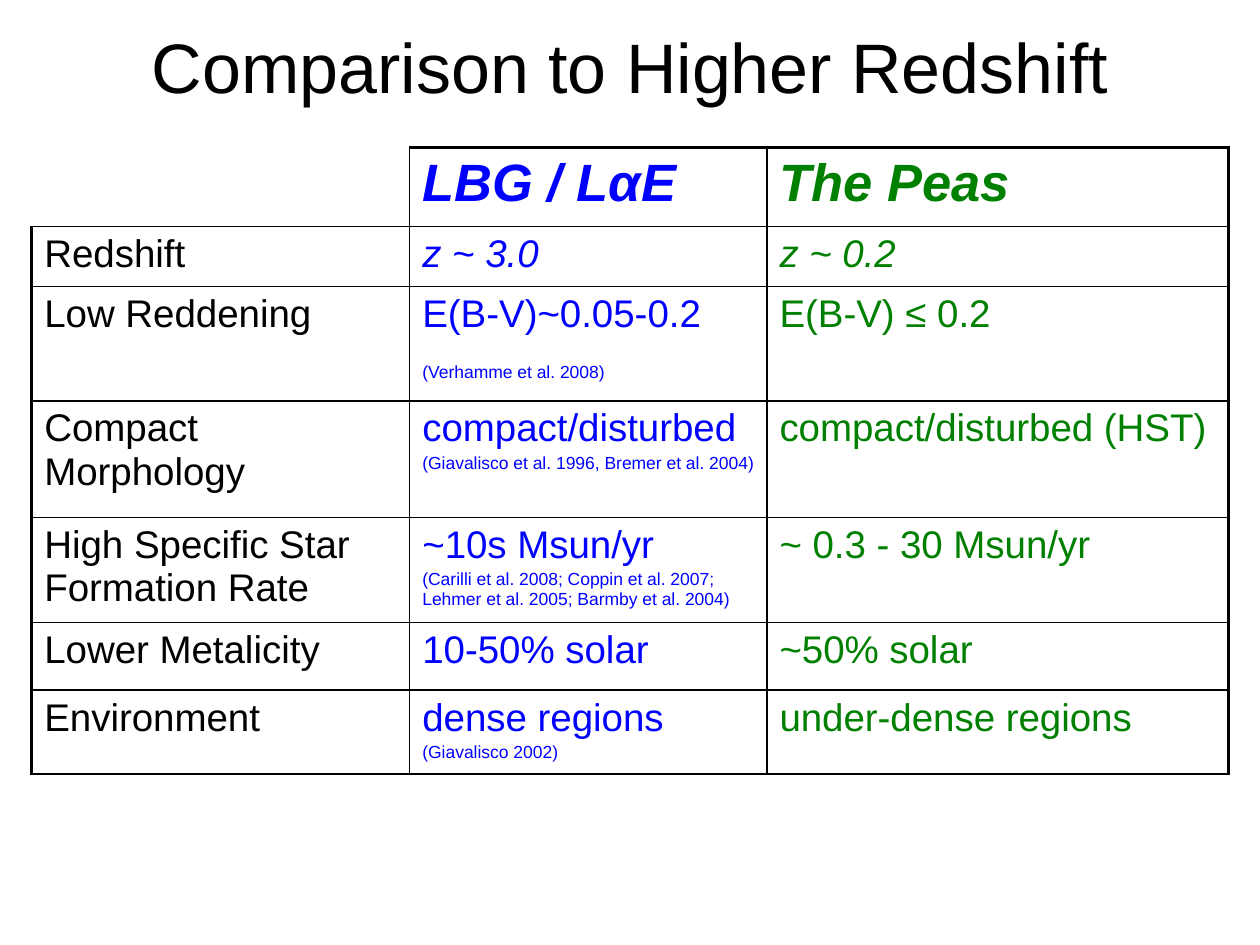
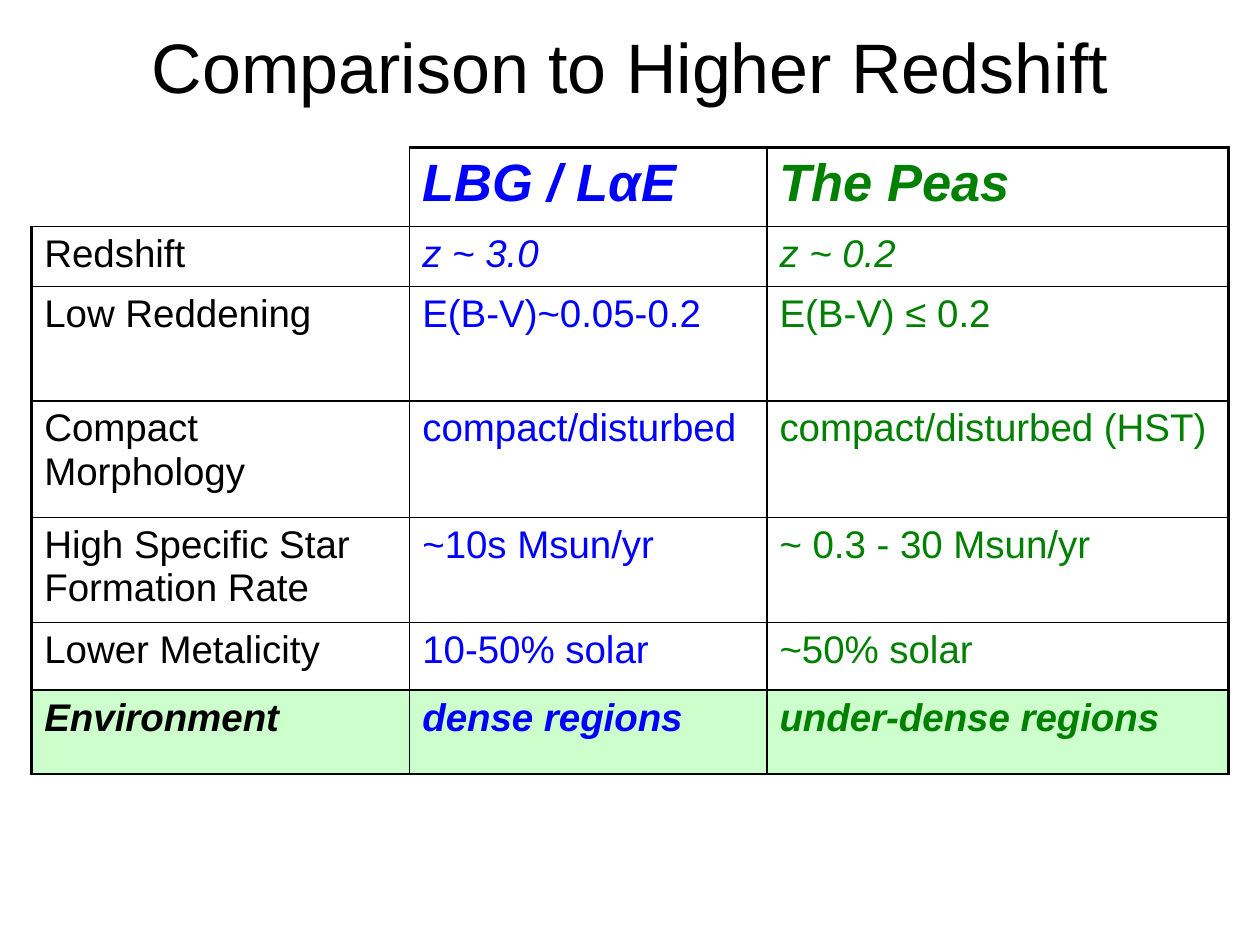
import pptx
import pptx.dml.color
import pptx.enum.text
import pptx.oxml
import pptx.oxml.ns
import pptx.util
from pptx.util import Cm, Pt

# Content
TITLE = "Comparison to Higher Redshift"
ROWS = [
    ("", "LBG / LαE", "The Peas"),
    ("Redshift", "z ~ 3.0", "z ~ 0.2"),
    ("Low Reddening", "E(B-V)~0.05-0.2", "E(B-V) ≤ 0.2"),
    ("Compact Morphology", "compact/disturbed", "compact/disturbed (HST)"),
    ("High Specific Star Formation Rate", "~10s Msun/yr", "~ 0.3 - 30 Msun/yr"),
    ("Lower Metalicity", "10-50% solar", "~50% solar"),
    ("Environment", "dense regions", "under-dense regions"),
]
# Row: (citation under the LBG value, points of space before it)
CITATIONS = {
    2: ("(Verhamme et al. 2008)", 15),
    3: ("(Giavalisco et al. 1996, Bremer et al. 2004)", 2),
    4: ("(Carilli et al. 2008; Coppin et al. 2007; "
        "Lehmer et al. 2005; Barmby et al. 2004)", 2),
    6: ("(Giavalisco 2002)", 2),
}
HEADER_ROW, REDSHIFT_ROW, ENVIRONMENT_ROW = 0, 1, 6
SLIDES = [
    {"citations": CITATIONS, "highlighted_row": None},
    {"citations": {}, "highlighted_row": ENVIRONMENT_ROW},
]

# Shared style
FONT = "Arial"
BLACK = pptx.dml.color.RGBColor(0x00, 0x00, 0x00)
BLUE = pptx.dml.color.RGBColor(0x00, 0x00, 0xFF)
GREEN = pptx.dml.color.RGBColor(0x00, 0x80, 0x00)
PALE_GREEN = pptx.dml.color.RGBColor(0xCC, 0xFF, 0xCC)
COLUMN_COLOURS = [BLACK, BLUE, GREEN]
TITLE_SIZE, HEADER_SIZE, BODY_SIZE, CITATION_SIZE = 40, 30, 22, 10
THIN, THICK = 1, 2.25

# Layout
SLIDE_WIDTH, SLIDE_HEIGHT = Cm(25.4), Cm(19.05)
TABLE_LEFT, TABLE_TOP = Cm(0.64), Cm(2.97)
COLUMN_WIDTHS = [Cm(width) for width in (7.62, 7.2, 9.31)]
ROW_HEIGHTS = [Cm(height) for height in (1.6, 1.21, 2.3, 2.35, 2.12, 1.36, 1.69)]


def style_paragraph(paragraph, size, colour, bold=False, italic=False):
    font = paragraph.font
    font.name, font.size = FONT, Pt(size)
    font.bold, font.italic = bold, italic
    font.color.rgb = colour


def add_title(slide):
    box = slide.shapes.add_textbox(0, Cm(0.05), SLIDE_WIDTH, Cm(2.54))
    frame = box.text_frame
    frame.word_wrap = True
    frame.vertical_anchor = pptx.enum.text.MSO_ANCHOR.MIDDLE
    paragraph = frame.paragraphs[0]
    paragraph.text = TITLE
    paragraph.alignment = pptx.enum.text.PP_ALIGN.CENTER
    style_paragraph(paragraph, TITLE_SIZE, BLACK)


def set_borders(cell, row, column):
    """Thick lines frame the table, thin ones divide it; the corner is open."""
    corner = row == 0 and column == 0
    widths = {
        "L": None if corner else THICK if column == 0 else THIN,
        "R": THICK if column == len(COLUMN_WIDTHS) - 1 else THIN,
        "T": None if corner else THICK if row == 0 else THIN,
        "B": THIN,
    }
    properties = cell._tc.get_or_add_tcPr()
    for side, width in widths.items():
        if width is None:
            paint = "<a:noFill/>"
        else:
            paint = f'<a:solidFill><a:srgbClr val="{BLACK}"/></a:solidFill>'
        properties.append(pptx.oxml.parse_xml(
            f'<a:ln{side} {pptx.oxml.ns.nsdecls("a")} w="{Pt(width or 0)}">'
            f"{paint}</a:ln{side}>"))


def fill_cell(cell, row, column, citation, highlighted):
    set_borders(cell, row, column)
    if highlighted:
        cell.fill.solid()
        cell.fill.fore_color.rgb = PALE_GREEN
    else:
        cell.fill.background()

    # Value
    header = row == HEADER_ROW
    strong = header or highlighted
    paragraph = cell.text_frame.paragraphs[0]
    paragraph.text = ROWS[row][column]
    style_paragraph(
        paragraph, HEADER_SIZE if header else BODY_SIZE, COLUMN_COLOURS[column],
        bold=strong, italic=strong or (row == REDSHIFT_ROW and column > 0))

    # Citation
    if citation:
        text, space_before = citation
        paragraph = cell.text_frame.add_paragraph()
        paragraph.text = text
        paragraph.space_before = Pt(space_before)
        style_paragraph(paragraph, CITATION_SIZE, COLUMN_COLOURS[column])


def add_comparison_table(slide, citations, highlighted_row):
    table = slide.shapes.add_table(
        len(ROWS), len(COLUMN_WIDTHS), TABLE_LEFT, TABLE_TOP,
        sum(COLUMN_WIDTHS), sum(ROW_HEIGHTS)).table
    table.first_row = table.horz_banding = False
    for column, width in zip(table.columns, COLUMN_WIDTHS):
        column.width = width
    for row, height in zip(table.rows, ROW_HEIGHTS):
        row.height = height
    for row in range(len(ROWS)):
        for column in range(len(COLUMN_WIDTHS)):
            citation = citations.get(row) if column == 1 else None
            fill_cell(table.cell(row, column), row, column, citation,
                      row == highlighted_row)


def main():
    presentation = pptx.Presentation()
    presentation.slide_width, presentation.slide_height = SLIDE_WIDTH, SLIDE_HEIGHT
    blank_layout = presentation.slide_layouts[6]
    for options in SLIDES:
        slide = presentation.slides.add_slide(blank_layout)
        add_title(slide)
        add_comparison_table(slide, **options)
    presentation.save("out.pptx")


if __name__ == "__main__":
    main()
